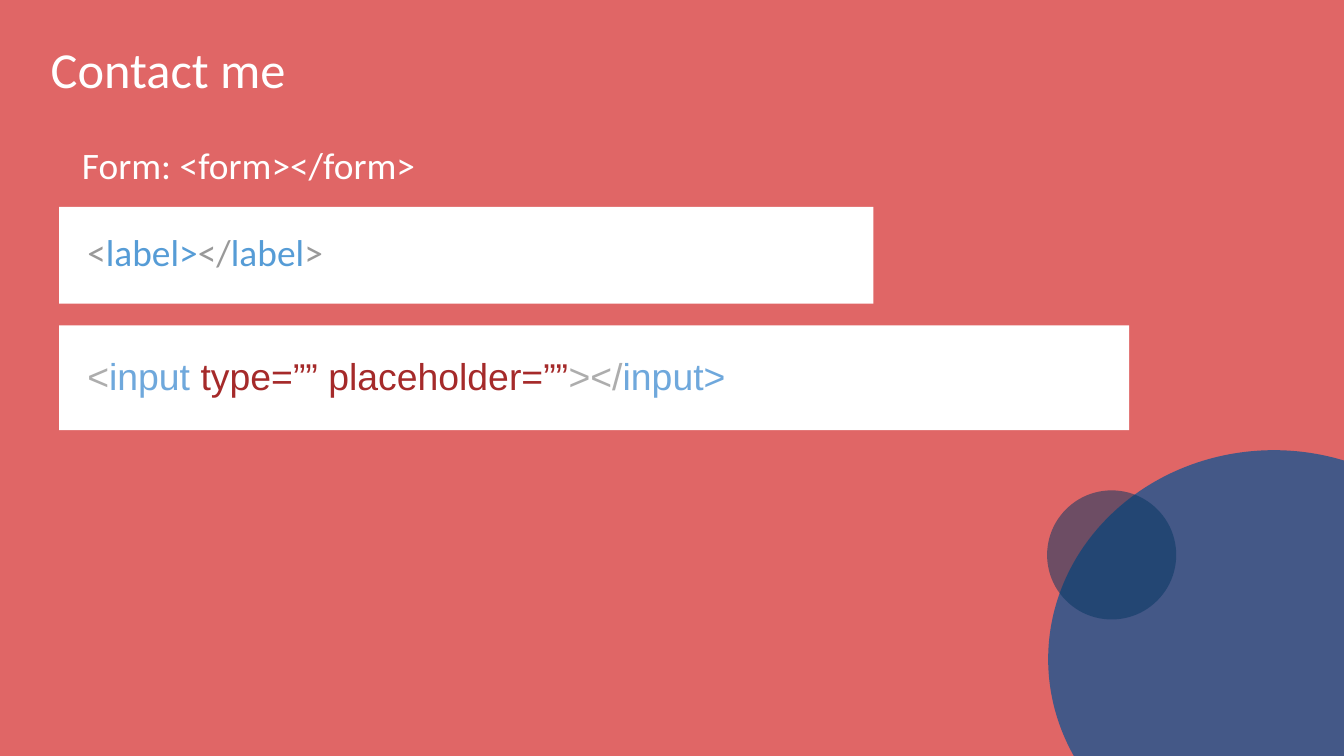
from dataclasses import dataclass

from lxml.etree import SubElement
from pptx import Presentation
from pptx.dml.color import RGBColor as Color
from pptx.enum.shapes import MSO_SHAPE as Shape
from pptx.enum.text import MSO_ANCHOR as Anchor
from pptx.oxml.ns import qn
from pptx.util import Cm, Pt


@dataclass(frozen=True)
class Theme:
    background: str = "E06666"
    white: str = "FFFFFF"
    label_bracket: str = "999999"
    label_tag: str = "569CD6"
    input_bracket: str = "ADADAD"
    input_tag: str = "6FA8DC"
    attribute: str = "A52A2A"
    large_circle: str = "0B5394"
    small_circle: str = "073763"
    title_size: int = 27
    body_size: int = 20
    body_font: str = "Calibri"
    code_font: str = "Arial"


class SlideBuilder:
    def __init__(self, slide, theme):
        self.slide = slide
        self.theme = theme

    def background(self):
        fill = self.slide.background.fill
        fill.solid()
        fill.fore_color.rgb = Color.from_string(self.theme.background)

    def text(self, box, runs, size, font):
        frame = self.slide.shapes.add_textbox(*map(Cm, box)).text_frame
        inset = Cm(0.25)
        frame_format = {
            "word_wrap": True,
            "vertical_anchor": Anchor.TOP,
            "margin_left": inset,
            "margin_top": inset,
            "margin_right": inset,
            "margin_bottom": inset,
        }
        for name, value in frame_format.items():
            setattr(frame, name, value)
        paragraph = frame.paragraphs[0]
        for content, color in runs:
            run = paragraph.add_run()
            run.text = content
            for name, value in {"size": Pt(size), "name": font}.items():
                setattr(run.font, name, value)
            run.font.color.rgb = Color.from_string(color)

    def filled_shape(self, kind, box, color, opacity=100):
        shape = self.slide.shapes.add_shape(kind, *map(Cm, box))
        shape.shadow.inherit = False
        shape.line.fill.background()
        shape.fill.solid()
        shape.fill.fore_color.rgb = Color.from_string(color)
        if opacity < 100:
            color_element = shape.element.spPr.find(qn("a:solidFill"))[0]
            SubElement(color_element, qn("a:alpha"), val=str(opacity * 1000))

    def panel(self, box):
        self.filled_shape(Shape.RECTANGLE, box, self.theme.white)

    def circle(self, box, color, opacity):
        self.filled_shape(Shape.OVAL, box, color, opacity)


def main():
    theme = Theme()
    presentation = Presentation()
    presentation.slide_width = Cm(25.4)
    presentation.slide_height = Cm(14.29)
    slide = presentation.slides.add_slide(presentation.slide_layouts[6])
    builder = SlideBuilder(slide, theme)
    builder.background()

    builder.text((0.71, 0.48, 18.87, 1.42), [("Contact me", theme.white)],
                 theme.title_size, theme.body_font)
    builder.text((1.3, 2.44, 14.43, 1.12), [("Form: <form></form>", theme.white)],
                 theme.body_size, theme.body_font)

    label_runs = [
        ("<", theme.label_bracket),
        ("label>", theme.label_tag),
        ("</", theme.label_bracket),
        ("label", theme.label_tag),
        (">", theme.label_bracket),
    ]
    input_runs = [
        ("<", theme.input_bracket),
        ("input ", theme.input_tag),
        ("type=”” placeholder=””", theme.attribute),
        ("></", theme.input_bracket),
        ("input>", theme.input_tag),
    ]
    examples = [
        ((1.12, 3.91, 15.39, 1.83), (1.4, 4.09, 15.21, 1.3), label_runs, theme.body_font),
        ((1.12, 6.15, 20.22, 1.98), (1.4, 6.43, 19.69, 1.83), input_runs, theme.code_font),
    ]
    for panel_box, text_box, runs, font in examples:
        builder.panel(panel_box)
        builder.text(text_box, runs, theme.body_size, font)

    builder.circle((19.81, 8.51, 8.53, 7.9), theme.large_circle, 73)
    builder.circle((19.79, 9.27, 2.44, 2.44), theme.small_circle, 53)
    presentation.save("out.pptx")


if __name__ == "__main__":
    main()
